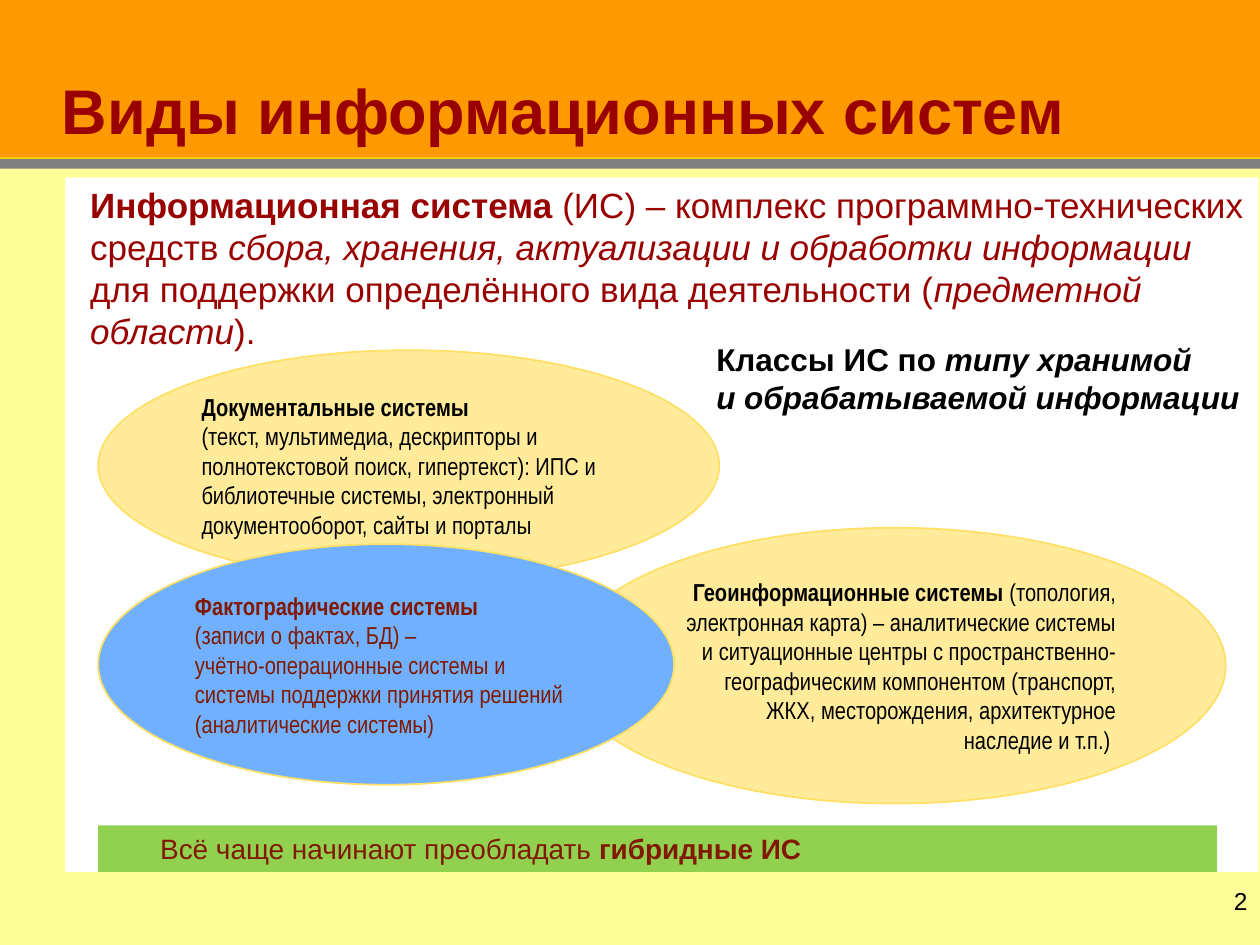
from copy import deepcopy

from lxml.etree import SubElement
from pptx import Presentation
from pptx.dml.color import RGBColor
from pptx.enum.shapes import MSO_CONNECTOR, MSO_SHAPE
from pptx.enum.text import MSO_ANCHOR, PP_ALIGN
from pptx.oxml.ns import qn
from pptx.util import Cm, Pt

WIDTH, HEIGHT = 25.4, 19.05
HEADER = 3.18

THEME = {
    "color": {
        "backdrop": "B2B2B2", "header": "FF9900", "page": "FFFF99",
        "bar": "808080", "rule": "FFCC00", "panel": "FFFFFF",
        "heading": "990000", "accent": "801900", "text": "000000",
        "sand": "FFEB99", "blue": "71B0FF", "edge": "FFE066", "green": "92D050",
    },
    "size": {"title": 36, "body": 20, "callout": 18, "note": 16, "small": 14},
    "font": {"main": "Arial", "narrow": "Arial Narrow"},
}

# Content: each text is a list of (style, words), with b for bold and i for italic
TITLE = [("b", "Виды информационных систем")]
DEFINITION = [
    ("b", "Информационная система "),
    ("", "(ИС) – комплекс программно-технических средств "),
    ("i", "сбора, хранения, актуализации и обработки информации"),
    ("", " для поддержки определённого вида деятельности ("),
    ("i", "предметной области"),
    ("", ")."),
]
HYBRID = [("", "Всё чаще начинают преобладать "), ("b", "гибридные ИС")]
CALLOUT = [
    ("b", "Классы ИС по "),
    ("bi", "типу хранимой \nи обрабатываемой информации"),
]
DOCUMENT = [
    ("b", "Документальные системы \n"),
    ("", "(текст, мультимедиа, дескрипторы и полнотекстовой поиск, гипертекст): "
         "ИПС и библиотечные системы, электронный документооборот, сайты и порталы"),
]
GEO = [
    ("b", "Геоинформационные системы "),
    ("", "(топология, электронная карта) – аналитические системы и ситуационные "
         "центры с пространственно-географическим компонентом (транспорт, ЖКХ, "
         "месторождения, архитектурное наследие и т.п.) "),
]
FACT = [
    ("b", "Фактографические системы \n"),
    ("", "(записи о фактах, БД) – \nучётно-операционные системы и системы "
         "поддержки принятия решений (аналитические системы)"),
]
PAGE = [("", "2")]

# Box, fill, text colour, words and alignment of each ellipse, back to front
ELLIPSES = [
    ((1.98, 7.06, 12.52, 4.65), "sand", "text", DOCUMENT, PP_ALIGN.LEFT),
    ((11.35, 10.64, 13.36, 5.56), "sand", "text", GEO, PP_ALIGN.RIGHT),
    ((1.98, 10.97, 11.61, 4.85), "blue", "accent", FACT, PP_ALIGN.LEFT),
]


def rgb(name):
    return RGBColor.from_string(THEME["color"][name])


def add_box(s, box, fill, edge=None, kind=MSO_SHAPE.RECTANGLE):
    sp = s.shapes.add_shape(kind, *map(Cm, box))
    sp.shadow.inherit = False
    sp.fill.solid()
    sp.fill.fore_color.rgb = rgb(fill)
    if edge:
        sp.line.color.rgb = rgb(edge)
        sp.line.width = Pt(1)
    else:
        sp.line.fill.background()
    return sp


def write(sp, runs, size, color, font="main", anchor=MSO_ANCHOR.TOP,
          indent=0, **paragraph_format):
    tf = sp.text_frame
    tf.word_wrap = True
    tf.vertical_anchor = anchor
    p = tf.paragraphs[0]
    for name, value in {"alignment": PP_ALIGN.LEFT, **paragraph_format}.items():
        setattr(p, name, value)
    if indent:
        p._p.get_or_add_pPr().set("marL", str(Cm(indent)))
    for style, words in runs:
        look = {"name": THEME["font"][font], "size": Pt(THEME["size"][size]),
                "bold": "b" in style, "italic": "i" in style}
        for n, line in enumerate(words.split("\n")):
            if n:  # a break takes the format of the run before it
                p.add_line_break()
                p._p[-1].append(deepcopy(r._r.rPr))
            if line:
                r = p.add_run()
                r.text = line
                for name, value in look.items():
                    setattr(r.font, name, value)
                r.font.color.rgb = rgb(color)


def main():
    prs = Presentation()
    prs.slide_width, prs.slide_height = Cm(WIDTH), Cm(HEIGHT)
    s = prs.slides.add_slide(prs.slide_layouts[6])
    s.background.fill.solid()
    s.background.fill.fore_color.rgb = rgb("backdrop")

    # Header band, page and divider
    add_box(s, (0, 0, WIDTH, HEADER), "header")
    add_box(s, (0, HEADER, WIDTH, HEIGHT - HEADER), "page")
    add_box(s, (0, 3.2, WIDTH, 0.2), "bar")
    rule = s.shapes.add_connector(
        MSO_CONNECTOR.STRAIGHT, 0, Cm(HEADER), Cm(WIDTH), Cm(HEADER))
    rule.line.color.rgb = rgb("rule")
    rule.line.width = Pt(1)
    SubElement(rule._element.spPr, qn("a:effectLst"))

    # Title and definition
    write(add_box(s, (0, 0.15, WIDTH, 2.97), "header"), TITLE, "title", "heading",
          anchor=MSO_ANCHOR.BOTTOM, indent=1, line_spacing=0.9)
    write(add_box(s, (1.32, 3.58, 24.05, 14), "panel"), DEFINITION, "body",
          "heading", indent=0.25)

    # Page number
    write(s.shapes.add_textbox(*map(Cm, (22.78, 17.73, 2.62, 1.32))), PAGE,
          "small", "text", alignment=PP_ALIGN.RIGHT)

    # Conclusion strip
    write(add_box(s, (1.98, 16.64, 22.56, 0.94), "green"), HYBRID, "note",
          "accent", anchor=MSO_ANCHOR.MIDDLE, indent=1)

    # Classes of systems
    for box, fill, color, runs, align in ELLIPSES:
        sp = add_box(s, box, fill, "edge", MSO_SHAPE.OVAL)
        write(sp, runs, "small", color, font="narrow",
              anchor=MSO_ANCHOR.MIDDLE, alignment=align)

    # Caption of the classes
    write(s.shapes.add_textbox(*map(Cm, (13.94, 6.73, 12.7, 1.8))), CALLOUT,
          "callout", "text", indent=0.25)

    prs.save("out.pptx")


if __name__ == "__main__":
    main()
